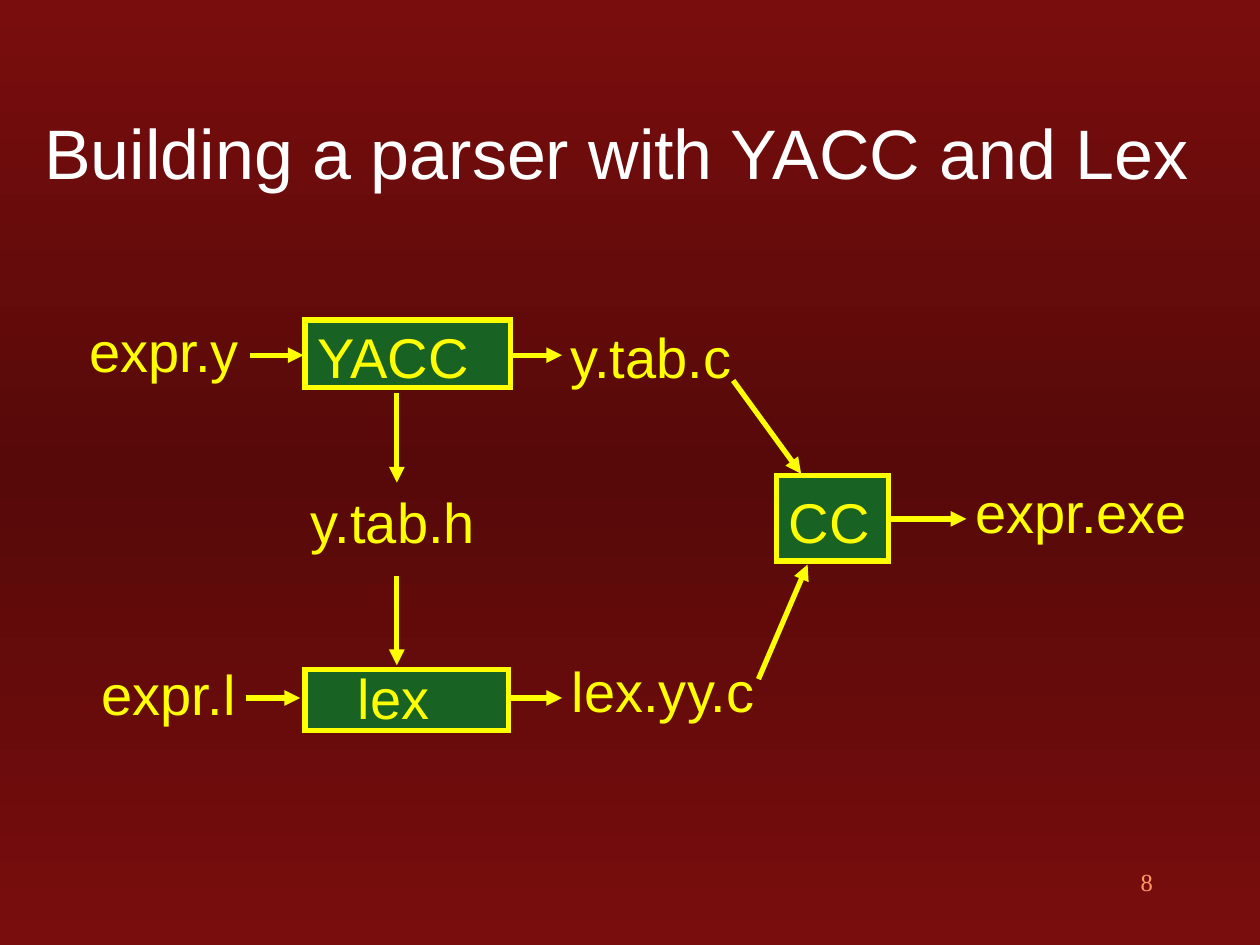
from copy import deepcopy
from pptx import Presentation, util as u
from pptx.dml.color import RGBColor
from pptx.enum import shapes, text
from pptx.oxml.ns import qn
from lxml import etree

HUES = {"edge": "790D0D", "mid": "570909", "box": "186224",
        "ink": "FFFF00", "title": "FFFFFF", "page": "FF9966"}

# Tool boxes: left, top, width, height in cm
TOOLS = [(6.15, 6.45, 4.14, 1.37), (6.15, 13.49, 4.11, 1.24),
         (15.65, 9.58, 2.26, 1.73)]

# Labels: words, left, top, width in cm
LABELS = [("YACC", 6.15, 6.38, 3.63), ("expr.y", 1.55, 6.25, 3.58),
          ("expr.l", 1.8, 13.18, 3.28), ("y.tab.c", 11.25, 6.38, 3.84),
          ("lex.yy.c", 11.28, 13.11, 4.27), ("lex", 6.96, 13.26, 1.96),
          ("CC", 15.65, 9.7, 2.26), ("expr.exe", 19.41, 9.5, 4.83),
          ("y.tab.h", 6.02, 9.7, 3.89)]

# Arrows: start x, y, end x, y in cm
YACC_Y, LEX_Y, CC_Y, DOWN_X = 7.16, 14.07, 10.46, 8
ARROWS = [(5.03, YACC_Y, 6.12, YACC_Y), (4.95, LEX_Y, 6.05, LEX_Y),
          (10.24, YACC_Y, 11.33, YACC_Y), (10.24, LEX_Y, 11.33, LEX_Y),
          (15.29, 13.69, 16.28, 11.38), (14.78, 7.67, 16.15, 9.55),
          (17.96, CC_Y, 19.48, CC_Y),
          (DOWN_X, 7.92, DOWN_X, 9.73), (DOWN_X, 11.61, DOWN_X, 13.41)]


def rgb(name):
    return RGBColor.from_string(HUES[name])


def cms(*sizes):
    return [u.Cm(size) for size in sizes]


def paint(slide):
    fill = slide.background.fill
    fill.gradient()
    fill.gradient_angle = 90
    first = slide.element.find(".//" + qn("a:gs"))
    first.addnext(deepcopy(first))
    for stop, spot, hue in zip(fill.gradient_stops, (0, 0.5, 1),
                               ("edge", "mid", "edge")):
        stop.position = spot
        stop.color.rgb = rgb(hue)


def write(frame, words, size, hue, face="Arial", align=text.PP_ALIGN.LEFT):
    frame.text = words
    frame.vertical_anchor = text.MSO_ANCHOR.TOP
    para = frame.paragraphs[0]
    para.alignment = align
    para.font.size = u.Pt(size)
    para.font.name = face
    para.font.color.rgb = rgb(hue)
    return para


def head(slide, words):
    title = slide.shapes.title
    title.left, title.top, title.width, title.height = cms(0.64, 2.34, 24.77, 3.05)
    title.text_frame.auto_size = text.MSO_AUTO_SIZE.NONE
    write(title.text_frame, words, 40, "title").line_spacing = 0.85


def stroke(shape):
    shape.line.color.rgb = rgb("ink")
    shape.line.width = u.Pt(3)
    line = shape.element.spPr.find(qn("a:ln"))
    etree.SubElement(line, qn("a:miter")).set("lim", "800000")
    return line


def tool(slide, *place):
    box = slide.shapes.add_shape(shapes.MSO_SHAPE.RECTANGLE, *cms(*place))
    box.shadow.inherit = False
    box.fill.solid()
    box.fill.fore_color.rgb = rgb("box")
    stroke(box)


def label(slide, words, left, top, width):
    frame = slide.shapes.add_textbox(*cms(left, top, width, 1.63)).text_frame
    frame.word_wrap = False
    frame.auto_size = text.MSO_AUTO_SIZE.SHAPE_TO_FIT_TEXT
    write(frame, words, 32, "ink")


def arrow(slide, *ends):
    link = slide.shapes.add_connector(shapes.MSO_CONNECTOR.STRAIGHT, *cms(*ends))
    etree.SubElement(stroke(link), qn("a:tailEnd")).set("type", "triangle")
    etree.SubElement(link.element.spPr, qn("a:effectLst"))


def number(slide, words):
    frame = slide.shapes.add_textbox(*cms(18.21, 17.35, 5.28, 1.27)).text_frame
    frame.word_wrap = True
    write(frame, words, 14, "page", "Times New Roman", text.PP_ALIGN.RIGHT)


def main():
    deck = Presentation()
    deck.slide_width, deck.slide_height = cms(25.4, 19.05)
    slide = deck.slides.add_slide(deck.slide_layouts[5])
    paint(slide)
    head(slide, "Building a parser with YACC and Lex")
    # Flow from the sources to the program
    for place in TOOLS:
        tool(slide, *place)
    for item in LABELS:
        label(slide, *item)
    for ends in ARROWS:
        arrow(slide, *ends)
    number(slide, "8")
    deck.save("out.pptx")


if __name__ == "__main__":
    main()
